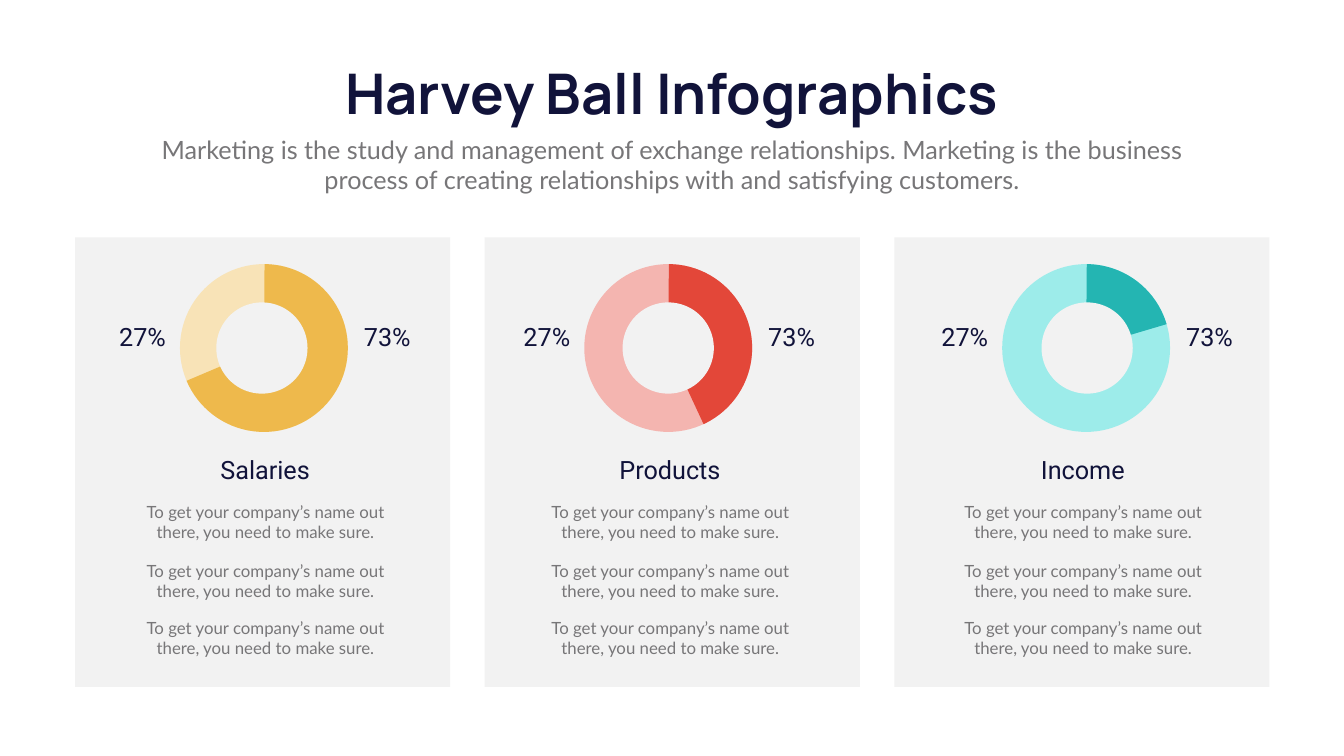
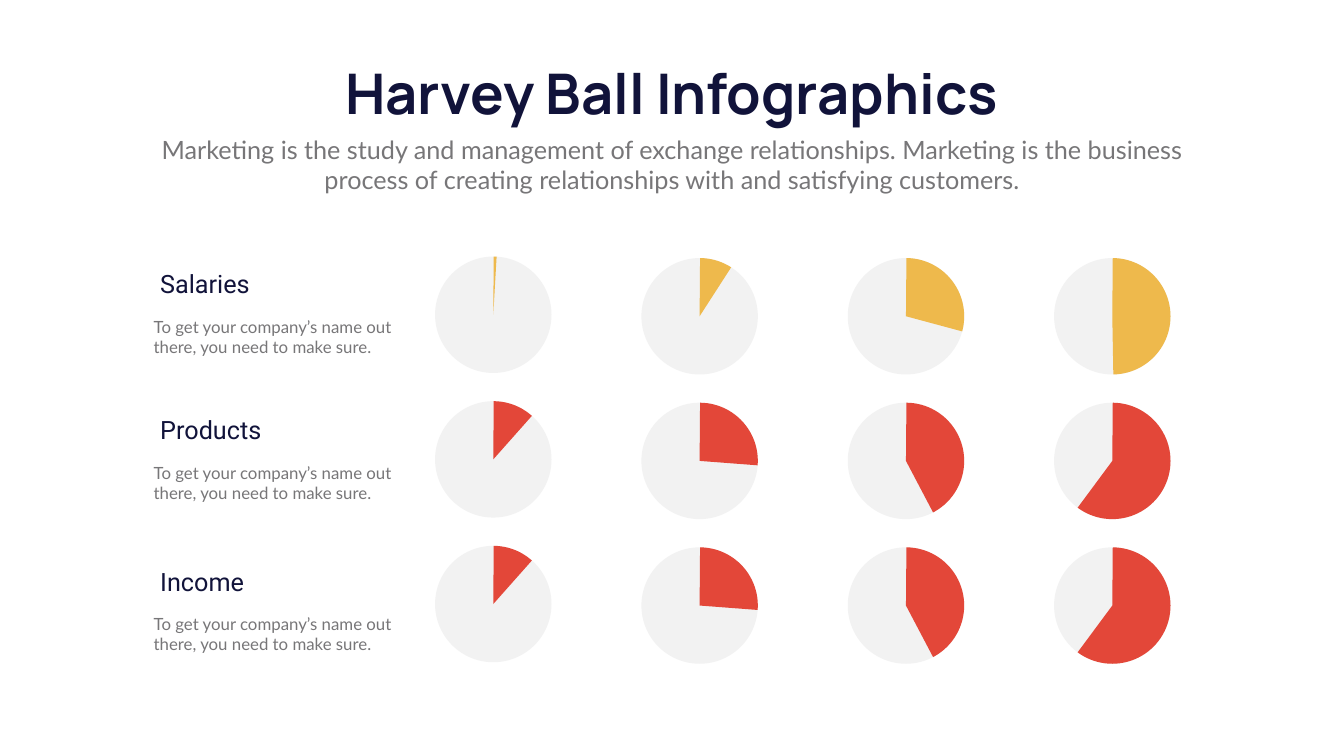
from pptx import Presentation
from pptx.dml.color import RGBColor
from pptx.enum import shapes, text
from pptx.util import Inches, Pt

TITLE = "Harvey Ball Infographics"
SUBTITLE = ("Marketing is the study and management of exchange relationships. "
            "Marketing is the business process of creating relationships with "
            "and satisfying customers.")
NOTE = "To get your company’s name out there, you need to make sure."
NAVY, GREY, PALE = "11133A", "777678", "F2F2F2"
YELLOW, RED, TEAL = "EEB94C", "E34739", "24B5B2"
TITLE_STYLE = ("Manrope", 80, NAVY, True)
SUBTITLE_STYLE = ("Lato", 36, GREY, False)
LABEL_STYLE = ("Roboto", 36, NAVY, False)
NOTE_STYLE = ("Lato", 24, GREY, False)
LEFT, CENTER, RIGHT = text.PP_ALIGN.LEFT, text.PP_ALIGN.CENTER, text.PP_ALIGN.RIGHT
START_ANGLE = 270.45

CARDS = [
    {"name": "Salaries", "text_x": 2.47, "ball_x": 3.57, "hole_x": 4.29,
     "base": "F8E3B7", "color": YELLOW, "end": 157.01},
    {"name": "Products", "text_x": 10.5, "ball_x": 11.59, "hole_x": 12.35,
     "base": "F4B5B0", "color": RED, "end": 65.09},
    {"name": "Income", "text_x": 18.69, "ball_x": 19.88, "hole_x": 20.66,
     "base": "9DECEA", "color": TEAL, "end": 343.49},
]
NOTE_TOPS = [9.91, 11.07, 12.2]
SHARES = [("27%", -1.63, RIGHT), ("73%", 3.55, LEFT)]

RED_ENDS = [311.56, 4.36, 62.24, 126.52]
ROWS = [
    ("Salaries", 5.28, YELLOW, [273.29, 302.8, 15.07, 88.99]),
    ("Products", 8.18, RED, RED_ENDS),
    ("Income", 11.18, RED, RED_ENDS),
]


def rgb(value):
    return RGBColor.from_string(value)


def write(sp, words, style, align, wrap=True):
    font, size, color, bold = style
    tf = sp.text_frame
    tf.word_wrap = wrap
    tf.auto_size = text.MSO_AUTO_SIZE.SHAPE_TO_FIT_TEXT
    tf.vertical_anchor = text.MSO_ANCHOR.TOP
    p = tf.paragraphs[0]
    p.alignment = align
    p.space_before = Pt(0)
    p.line_spacing = 1.0
    r = p.add_run()
    r.text = words
    r.font.name = font
    r.font.size = Pt(size)
    r.font.bold = bold
    r.font.color.rgb = rgb(color)


def place(sp, x, y, w, h):
    sp.left, sp.top, sp.width, sp.height = map(Inches, (x, y, w, h))


def add_text(s, words, x, y, w, h, style, align):
    sp = s.shapes.add_textbox(*map(Inches, (x, y, w, h)))
    write(sp, words, style, align)


def add_label(s, words, x, y, align, w=3.26):
    add_text(s, words, x, y, w, 0.71, LABEL_STYLE, align)


def add_note(s, x, y, align):
    add_text(s, NOTE, x, y, 5.59, 0.91, NOTE_STYLE, align)


def add_shape(parent, kind, x, y, w, h, color):
    sp = parent.shapes.add_shape(kind, *map(Inches, (x, y, w, h)))
    sp.shadow.inherit = False
    sp.fill.solid()
    sp.fill.fore_color.rgb = rgb(color)
    sp.line.fill.background()
    return sp


def add_ball(s, x, y, size, base, color, end):
    group = s.shapes.add_group_shape()
    add_shape(group, shapes.MSO_SHAPE.OVAL, x, y, size, size, base)
    pie = add_shape(group, shapes.MSO_SHAPE.PIE, x, y, size, size, color)
    for i, angle in enumerate((START_ANGLE, end)):
        pie.adjustments[i] = angle * 0.6


def add_slide(prs):
    s = prs.slides.add_slide(prs.slide_layouts[0])
    title, subtitle = s.placeholders
    place(title, 6.14, 1.12, 14.37, 1.45)
    write(title, TITLE, TITLE_STYLE, CENTER, wrap=False)
    place(subtitle, 2.92, 2.61, 20.82, 1.31)
    write(subtitle, SUBTITLE, SUBTITLE_STYLE, CENTER)
    return s


def build_cards(prs):
    s = add_slide(prs)
    for i, card in enumerate(CARDS):
        text_x, ball_x = card["text_x"], card["ball_x"]
        add_shape(s, shapes.MSO_SHAPE.RECTANGLE, 1.49 + i * 8.125, 4.71, 7.44, 8.92, PALE)
        for y in NOTE_TOPS:
            add_note(s, text_x, y, CENTER)
        add_label(s, card["name"], text_x + 1.16, 8.96, CENTER)
        for share, offset, align in SHARES:
            add_label(s, share, ball_x + offset, 6.32, align, w=1.45)
        add_ball(s, ball_x, 5.24, 3.33, card["base"], card["color"], card["end"])
        add_shape(s, shapes.MSO_SHAPE.OVAL, card["hole_x"], 6, 1.81, 1.81, PALE)


def build_matrix(prs):
    s = add_slide(prs)
    for row, (name, label_y, color, ends) in enumerate(ROWS):
        add_note(s, 2.95, label_y + 0.95, LEFT)
        add_label(s, name, 3.08, label_y, LEFT)
        for col, end in enumerate(ends):
            y = (5.12 if col else 5.09) + row * 2.87
            add_ball(s, 8.63 + col * 4.093, y, 2.31, PALE, color, end)


def main():
    prs = Presentation()
    prs.slide_width, prs.slide_height = Inches(26.66), Inches(15)
    build_cards(prs)
    build_matrix(prs)
    prs.save("out.pptx")


if __name__ == "__main__":
    main()
